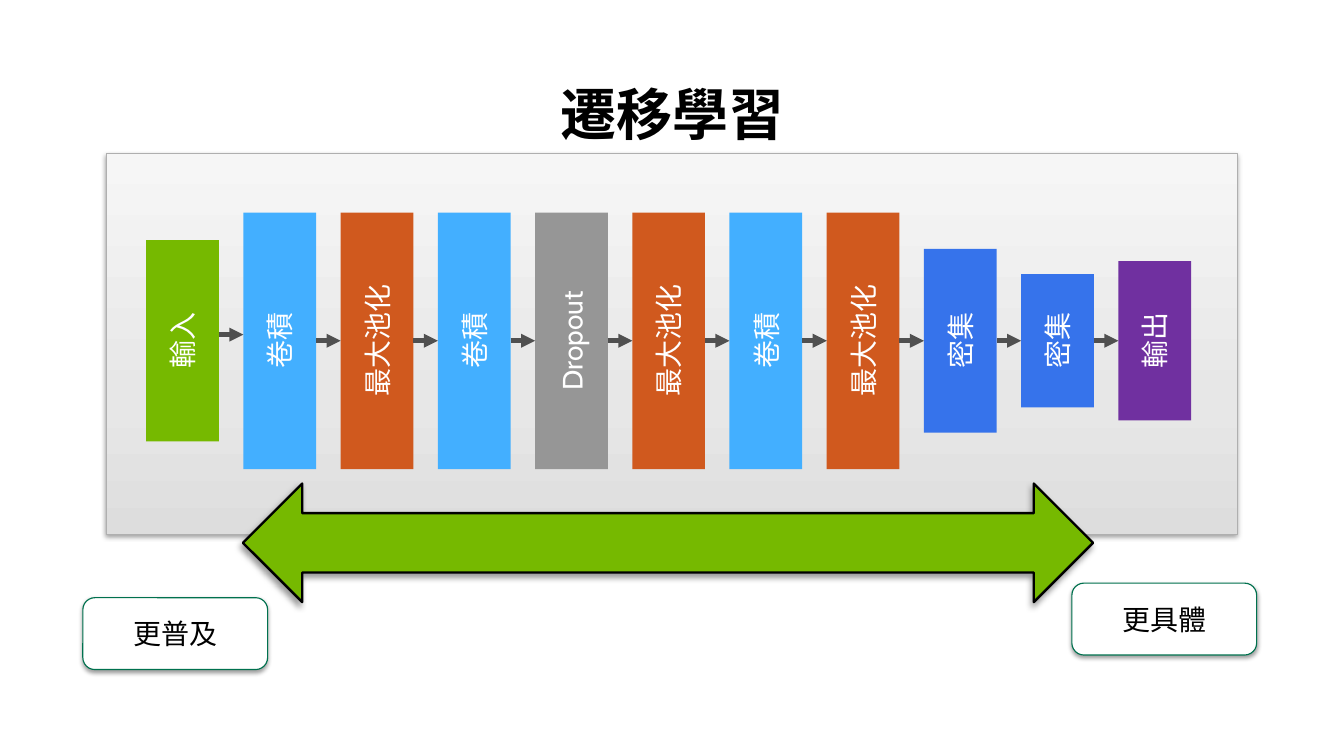
from copy import deepcopy
from dataclasses import dataclass

from lxml.etree import SubElement
from pptx import Presentation
from pptx.dml.color import RGBColor
from pptx.enum.shapes import MSO_CONNECTOR as Connector, MSO_SHAPE as Shape
from pptx.enum.text import MSO_ANCHOR as Anchor, PP_ALIGN as Align
from pptx.oxml.ns import qn
from pptx.util import Cm, Pt


@dataclass(frozen=True)
class Theme:
    """Colours, font and type sizes of the slide."""
    font: str = "Cabin"
    title_size: int = 36
    body_size: int = 18
    black: str = "000000"
    white: str = "FFFFFF"
    green: str = "76B900"
    sky: str = "43AFFF"
    orange: str = "D0591E"
    gray: str = "969696"
    blue: str = "3673EB"
    purple: str = "7030A0"
    link: str = "505050"
    label_edge: str = "00714E"
    panel_edge: str = "AFAFAF"
    panel: tuple = ((0, "DDDDDD"), (0.35, "E7E7E7"), (1, "F6F6F6"))
    soft_shadow: tuple = (38, 3.1, 1.6, 90)
    arrow_shadow: tuple = (40, 4, 3, 135)


THEME = Theme()
LAYER_WIDTH = 1.65
FIRST_CENTER, LAST_CENTER = 4.14, 26.19
MIDDLE = 7.73
FIRST_LINK_Y = 7.59
LAYERS = (
    ("輸入", 4.57, THEME.green),
    ("卷積", 5.82, THEME.sky),
    ("最大池化", 5.82, THEME.orange),
    ("卷積", 5.82, THEME.sky),
    ("Dropout", 5.82, THEME.gray),
    ("最大池化", 5.82, THEME.orange),
    ("卷積", 5.82, THEME.sky),
    ("最大池化", 5.82, THEME.orange),
    ("密集", 4.17, THEME.blue),
    ("密集", 3.02, THEME.blue),
    ("輸出", 3.61, THEME.purple),
)
LABELS = (("更普及", 1.88, 13.56), ("更具體", 24.31, 13.23))


def write_text(shape, text, *, size, color, bold=False, anchor=Anchor.MIDDLE, spacing=None):
    """Put one centred, formatted paragraph into a shape."""
    frame = shape.text_frame
    frame.word_wrap = True
    frame.vertical_anchor = anchor
    paragraph = frame.paragraphs[0]
    paragraph.alignment = Align.CENTER
    paragraph.line_spacing = spacing
    run = paragraph.add_run()
    run.text = text
    run.font.name = THEME.font
    run.font.size = Pt(size)
    run.font.bold = bold
    run.font.color.rgb = RGBColor.from_string(color)


class SlideBuilder:
    """Draw styled elements on the current slide."""

    def __init__(self, slide, theme):
        """Keep the slide and its theme."""
        self.slide = slide
        self.theme = theme

    def title(self, text, box):
        """Place and fill the title placeholder."""
        shape = self.slide.shapes.title
        shape.left, shape.top, shape.width, shape.height = map(Cm, box)
        write_text(shape, text, size=self.theme.title_size, color=self.theme.black,
                   bold=True, anchor=Anchor.BOTTOM, spacing=0.9)

    def block(self, kind, box, fill, edge=None, weight=0.75, shadow=None):
        """Add a filled preset shape with an optional outline and shadow."""
        shape = self.slide.shapes.add_shape(kind, *map(Cm, box))
        shape.fill.solid()
        shape.fill.fore_color.rgb = RGBColor.from_string(fill)
        if edge:
            shape.line.color.rgb = RGBColor.from_string(edge)
            shape.line.width = Pt(weight)
        else:
            shape.line.fill.background()
        shape.shadow.inherit = False
        if shadow:
            self.cast_shadow(shape, *shadow)
        return shape

    def cast_shadow(self, shape, opacity, blur, distance, angle):
        """Give a shape a black outer shadow."""
        effects = shape._element.spPr.find(qn("a:effectLst"))
        outer = SubElement(effects, qn("a:outerShdw"), blurRad=str(Pt(blur)),
                           dist=str(Pt(distance)), dir=str(angle * 60000), rotWithShape="0")
        color = SubElement(outer, qn("a:srgbClr"), val=self.theme.black)
        SubElement(color, qn("a:alpha"), val=str(opacity * 1000))

    def panel(self, box):
        """Add the backdrop with its three-stop vertical gradient."""
        theme = self.theme
        shape = self.block(Shape.RECTANGLE, box, theme.white, theme.panel_edge,
                           shadow=theme.soft_shadow)
        shape.fill.gradient()
        shape.fill.gradient_angle = 90
        stops = shape._element.spPr.find(qn("a:gradFill")).find(qn("a:gsLst"))
        stops.append(deepcopy(stops[0]))
        for stop, (position, color) in zip(shape.fill.gradient_stops, theme.panel):
            stop.position = position
            stop.color.rgb = RGBColor.from_string(color)

    def layer(self, text, length, color, center):
        """Add a network layer turned to read upwards."""
        box = (center - length / 2, MIDDLE - LAYER_WIDTH / 2, length, LAYER_WIDTH)
        shape = self.block(Shape.RECTANGLE, box, color)
        shape.rotation = 270
        write_text(shape, text, size=self.theme.body_size, color=self.theme.white)
        return shape

    def link(self, start, end, y, source=None, target=None):
        """Add an arrow, joined to turned layers where they are given."""
        ends = [Cm(value) for value in (start, y, end, y)]
        connector = self.slide.shapes.add_connector(Connector.STRAIGHT, *ends)
        if source and target:
            connector.begin_connect(source, 2)
            connector.end_connect(target, 0)
            connector.begin_x, connector.begin_y, connector.end_x, connector.end_y = ends
        connector.line.color.rgb = RGBColor.from_string(self.theme.link)
        connector.line.width = Pt(3)
        SubElement(connector.line._get_or_add_ln(), qn("a:tailEnd"), type="triangle")
        SubElement(connector._element.spPr, qn("a:effectLst"))

    def label(self, text, left, top):
        """Add a rounded caption box."""
        theme = self.theme
        shape = self.block(Shape.ROUNDED_RECTANGLE, (left, top, 4.19, 1.63), theme.white,
                           theme.label_edge, shadow=theme.soft_shadow)
        write_text(shape, text, size=theme.body_size, color=theme.black)


def main():
    """Build and save the slide."""
    presentation = Presentation()
    presentation.slide_width, presentation.slide_height = Cm(30.48), Cm(17.15)
    slide = presentation.slides.add_slide(presentation.slide_layouts[5])
    builder = SlideBuilder(slide, THEME)
    builder.title("遷移學習", (1.4, 1.83, 27.71, 1.65))
    builder.panel((2.41, 3.48, 25.65, 8.64))

    pitch = (LAST_CENTER - FIRST_CENTER) / (len(LAYERS) - 1)
    centers = [FIRST_CENTER + index * pitch for index in range(len(LAYERS))]
    layers = [builder.layer(*layer, center) for layer, center in zip(LAYERS, centers)]
    for index, center in enumerate(centers[:-1]):
        start, end = center + LAYER_WIDTH / 2, center + pitch - LAYER_WIDTH / 2
        if index == 0:
            builder.link(start, end, FIRST_LINK_Y)
        else:
            builder.link(start, end, MIDDLE, layers[index], layers[index + 1])

    builder.block(Shape.LEFT_RIGHT_ARROW, (5.51, 10.97, 19.28, 2.69), THEME.green,
                  THEME.black, 1.5, THEME.arrow_shadow)
    for label in LABELS:
        builder.label(*label)
    presentation.save("out.pptx")


if __name__ == "__main__":
    main()
